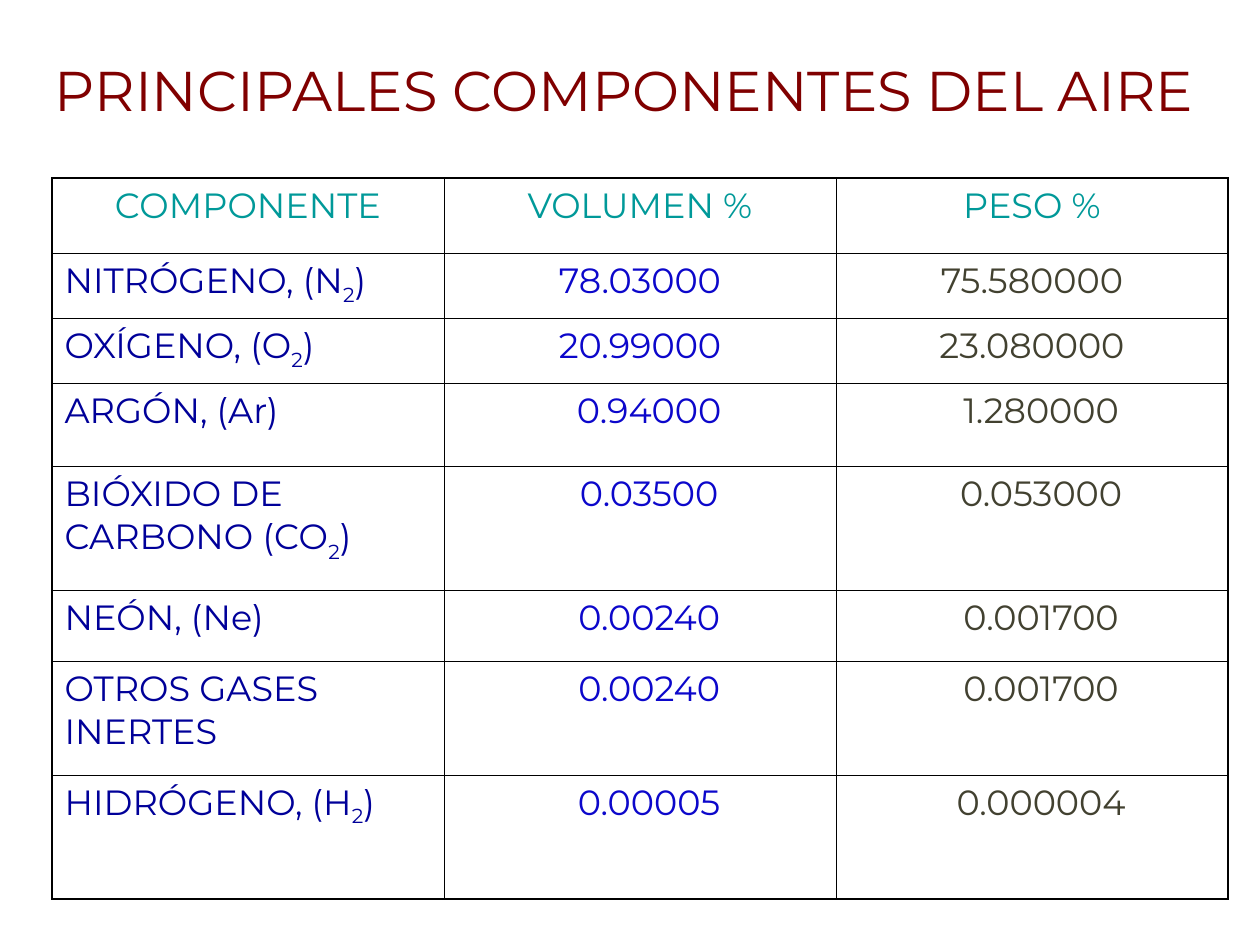
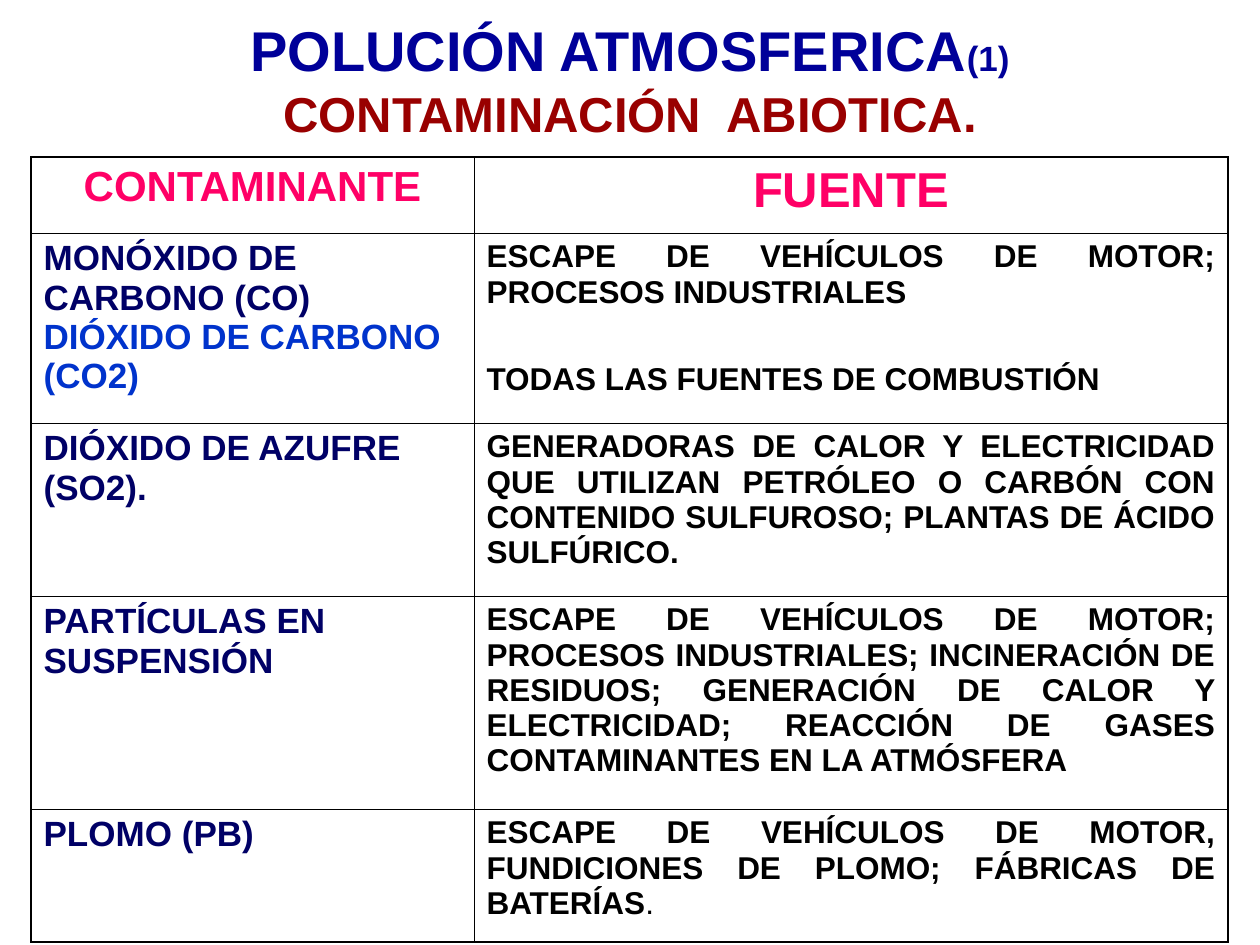
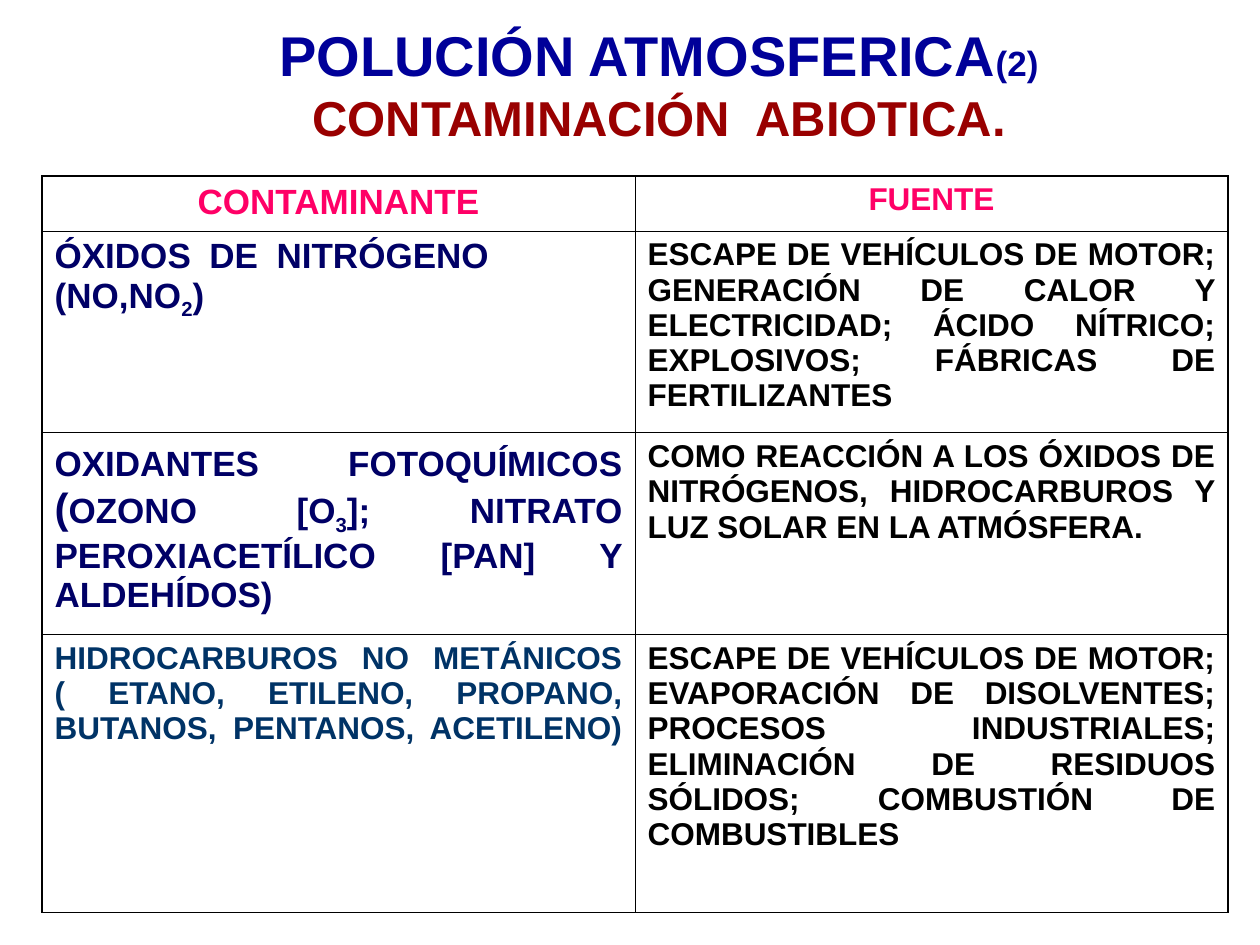
import pptx
import pptx.dml.color
import pptx.enum.text
import pptx.oxml
import pptx.oxml.ns
import pptx.util

PX_PER_INCH = 126
SLIDE_SIZE = (1260, 945)
BLANK_LAYOUT = 6
NO_TABLE_STYLE = "{2D5ABB26-0587-4C30-8999-92F81FD0307C}"
THIN, THICK = 0.45, 1.08  # border widths in points
LINE_BREAK = "\n"

ALIGN = pptx.enum.text.PP_ALIGN
LEFT, CENTER, JUSTIFY = ALIGN.LEFT, ALIGN.CENTER, ALIGN.JUSTIFY

BLACK, NAVY, DARK_NAVY = "000000", "000099", "000066"
MAROON, RED, PINK, TEAL = "800000", "990000", "FF0066", "009999"
BLUE, OLIVE, ROYAL, PETROL = "0C07CB", "424130", "0033CC", "003366"

# Text styles: font, bold, size, colour, alignment
AIR_TITLE = ("Montserrat", False, 32, MAROON, CENTER)
AIR_HEADER = ("Montserrat", False, 20, TEAL, CENTER)
AIR_NAME = ("Montserrat", False, 20, NAVY, LEFT)
AIR_VOLUME = ("Montserrat", False, 20, BLUE, CENTER)
AIR_WEIGHT = ("Montserrat", False, 20, OLIVE, CENTER)
POLLUTION_TITLE = ("Arial", True, 32, NAVY, CENTER)
POLLUTANT = ("Arial", True, 20, DARK_NAVY, LEFT)
POLLUTANT_JUSTIFIED = ("Arial", True, 20, DARK_NAVY, JUSTIFY)
HYDROCARBON = ("Arial", True, 18, PETROL, JUSTIFY)
SOURCE = ("Arial", True, 18, BLACK, JUSTIFY)

# Runs are plain strings or (text, changes) pairs
SUB_2 = ("2", {"baseline": -25})
SUB_3 = ("3", {"baseline": -25})
LOW_SUB_2 = ("2", {"baseline": -30})

AIR_COMPONENTS = [
    (["NITRÓGENO, (N", SUB_2, ")"], "78.03000", "75.580000"),
    (["OXÍGENO, (O", SUB_2, ")"], "20.99000", "23.080000"),
    (["ARGÓN, (Ar)"], "0.94000", "1.280000"),
    (["BIÓXIDO DE CARBONO (CO", LOW_SUB_2, ")"], "0.03500", "0.053000"),
    (["NEÓN, (Ne)"], "0.00240", "0.001700"),
    (["OTROS GASES INERTES"], "0.00240", "0.001700"),
    (["HIDRÓGENO, (H", SUB_2, ")"], "0.00005", "0.000004"),
]
SMALL_NUMBER_MARGIN = 31  # moves one-digit numbers towards the decimal column

# Each cell: style, paragraphs (lists of runs), changed margins
POLLUTANTS_1 = [
    [(POLLUTANT, [["MONÓXIDO DE CARBONO (CO) ",
                   ("DIÓXIDO DE CARBONO (CO2)", {"color": ROYAL})]], {}),
     (SOURCE, [["ESCAPE DE VEHÍCULOS DE MOTOR; PROCESOS INDUSTRIALES"],
               ["TODAS LAS FUENTES DE COMBUSTIÓN"]], {})],
    [(POLLUTANT, [["DIÓXIDO DE AZUFRE (SO2)."]], {}),
     (SOURCE, [["GENERADORAS DE CALOR Y ELECTRICIDAD QUE UTILIZAN PETRÓLEO O CARBÓN "
                "CON CONTENIDO SULFUROSO; PLANTAS DE ÁCIDO SULFÚRICO."]], {})],
    [(POLLUTANT, [["PARTÍCULAS EN SUSPENSIÓN"]], {}),
     (SOURCE, [["ESCAPE DE VEHÍCULOS DE MOTOR; PROCESOS INDUSTRIALES; INCINERACIÓN DE "
                "RESIDUOS; GENERACIÓN DE CALOR Y ELECTRICIDAD; REACCIÓN DE GASES "
                "CONTAMINANTES EN LA ATMÓSFERA"]], {})],
    [(POLLUTANT, [["PLOMO (PB)"]], {}),
     (SOURCE, [["ESCAPE DE VEHÍCULOS DE MOTOR, FUNDICIONES DE PLOMO; FÁBRICAS DE "
                "BATERÍAS", (".", {"bold": False})]], {})],
]
POLLUTANTS_2 = [
    [(POLLUTANT_JUSTIFIED, [["ÓXIDOS DE NITRÓGENO (NO,NO", SUB_2, ")"]],
      {"margin_right": 146}),
     (SOURCE, [["ESCAPE DE VEHÍCULOS DE MOTOR; GENERACIÓN DE CALOR Y ELECTRICIDAD; "
                "ÁCIDO NÍTRICO; EXPLOSIVOS; FÁBRICAS DE FERTILIZANTES"]], {})],
    [(POLLUTANT_JUSTIFIED, [["OXIDANTES FOTOQUÍMICOS", (" (", {"size": 24}), "OZONO [O", SUB_3,
                             "]; NITRATO PEROXIACETÍLICO [PAN] Y ALDEHÍDOS)"]], {}),
     (SOURCE, [["COMO REACCIÓN A LOS ÓXIDOS DE NITRÓGENOS, HIDROCARBUROS Y LUZ SOLAR "
                "EN LA ATMÓSFERA."]], {})],
    [(HYDROCARBON, [["HIDROCARBUROS NO METÁNICOS ( ETANO, ETILENO, PROPANO, BUTANOS, "
                     "PENTANOS, ACETILENO)", LINE_BREAK]], {}),
     (SOURCE, [["ESCAPE DE VEHÍCULOS DE MOTOR; EVAPORACIÓN DE DISOLVENTES; PROCESOS "
                "INDUSTRIALES; ELIMINACIÓN DE RESIDUOS SÓLIDOS; COMBUSTIÓN DE "
                "COMBUSTIBLES"]], {})],
]


def air_rows():
    """Header and component rows of the air table."""
    rows = [[(AIR_HEADER, [[text]], {}) for text in ("COMPONENTE", "VOLUMEN %", "PESO %")]]
    for name, volume, weight in AIR_COMPONENTS:
        margins = {"margin_left": SMALL_NUMBER_MARGIN} if volume.startswith("0") else {}
        rows.append([(AIR_NAME, [name], {}), (AIR_VOLUME, [[volume]], margins),
                     (AIR_WEIGHT, [[weight]], margins)])
    return rows


def pollution_header(*sizes):
    return [(("Arial", True, size, PINK, CENTER), [[text]], {})
            for text, size in zip(("CONTAMINANTE", "FUENTE"), sizes)]


def pollution_title(number):
    return [f"POLUCIÓN ATMOSFERICA", (f"({number})", {"size": 20}), LINE_BREAK,
            ("CONTAMINACIÓN  ABIOTICA.", {"size": 28, "color": RED})]


SLIDES = [
    {"title": ["PRINCIPALES COMPONENTES DEL AIRE"], "title_style": AIR_TITLE,
     "title_box": (10, 10, 1229, 158), "table_at": (52, 178),
     "columns": [392] * 3, "row_heights": [75, 65, 65, 83, 124, 71, 114, 124],
     "rows": air_rows()},
    {"title": pollution_title(1), "title_style": POLLUTION_TITLE,
     "title_box": (21, 21, 1218, 116), "table_at": (31, 157),
     "columns": [443, 754], "row_heights": [76, 190, 173, 213, 133],
     "rows": [pollution_header(24, 28)] + POLLUTANTS_1},
    {"title": pollution_title(2), "title_style": POLLUTION_TITLE,
     "title_box": (105, 31, 1108, 105), "table_at": (42, 176),
     "columns": [593, 593], "row_heights": [55, 201, 197, 278],
     "rows": [pollution_header(20, 18)] + POLLUTANTS_2},
]


def px(length):
    return pptx.util.Emu(round(length * 914400 / PX_PER_INCH))


def rgb(color):
    return pptx.dml.color.RGBColor.from_string(color)


def write_paragraph(paragraph, runs, style):
    """Set the paragraph's font, then add its runs with their changes."""
    font_name, bold, size, color, alignment = style
    paragraph.alignment = alignment
    paragraph.font.name = font_name
    paragraph.font.bold = bold
    paragraph.font.size = pptx.util.Pt(size)
    paragraph.font.color.rgb = rgb(color)
    for item in runs:
        if item == LINE_BREAK:
            paragraph.add_line_break()
            continue
        text, changes = (item, {}) if isinstance(item, str) else item
        run = paragraph.add_run()
        run.text = text
        if "size" in changes:
            run.font.size = pptx.util.Pt(changes["size"])
        if "color" in changes:
            run.font.color.rgb = rgb(changes["color"])
        if "bold" in changes:
            run.font.bold = changes["bold"]
        if "baseline" in changes:
            run._r.get_or_add_rPr().set("baseline", str(changes["baseline"] * 1000))


def add_title(slide, box, runs, style):
    frame = slide.shapes.add_textbox(*map(px, box)).text_frame
    frame.word_wrap = True
    frame.vertical_anchor = pptx.enum.text.MSO_ANCHOR.MIDDLE
    write_paragraph(frame.paragraphs[0], runs, style)


def set_borders(cell, widths):
    """Draw the left, right, top and bottom borders, ahead of the cell fill."""
    properties = cell._tc.get_or_add_tcPr()
    for index, (side, width) in enumerate(zip("LRTB", widths)):
        properties.insert(index, pptx.oxml.parse_xml(
            f'<a:ln{side} {pptx.oxml.ns.nsdecls("a")} w="{pptx.util.Pt(width)}">'
            f'<a:solidFill><a:srgbClr val="{BLACK}"/></a:solidFill></a:ln{side}>'))


def add_grid(slide, position, columns, row_heights, rows):
    size = (sum(columns), sum(row_heights))
    table = slide.shapes.add_table(len(rows), len(columns), *map(px, position + size)).table
    table.first_row = table.horz_banding = False
    table._tbl.tblPr.find(pptx.oxml.ns.qn("a:tableStyleId")).text = NO_TABLE_STYLE
    for column, width in zip(table.columns, columns):
        column.width = px(width)
    for row, height in zip(table.rows, row_heights):
        row.height = px(height)

    last_row, last_column = len(rows) - 1, len(columns) - 1
    for r, row in enumerate(rows):
        for c, (style, paragraphs, margins) in enumerate(row):
            cell = table.cell(r, c)
            cell.fill.background()
            outer_sides = (c == 0, c == last_column, r == 0, r == last_row)
            set_borders(cell, [THICK if outer else THIN for outer in outer_sides])
            for side, margin in margins.items():
                setattr(cell, side, px(margin))
            for index, runs in enumerate(paragraphs):
                paragraph = cell.text_frame.paragraphs[0]
                if index:
                    paragraph = cell.text_frame.add_paragraph()
                    paragraph.space_before = pptx.util.Pt(30)
                write_paragraph(paragraph, runs, style)


def main():
    presentation = pptx.Presentation()
    presentation.slide_width, presentation.slide_height = map(px, SLIDE_SIZE)
    for content in SLIDES:
        slide = presentation.slides.add_slide(presentation.slide_layouts[BLANK_LAYOUT])
        add_title(slide, content["title_box"], content["title"], content["title_style"])
        add_grid(slide, content["table_at"], content["columns"],
                 content["row_heights"], content["rows"])
    presentation.save("out.pptx")


if __name__ == "__main__":
    main()
